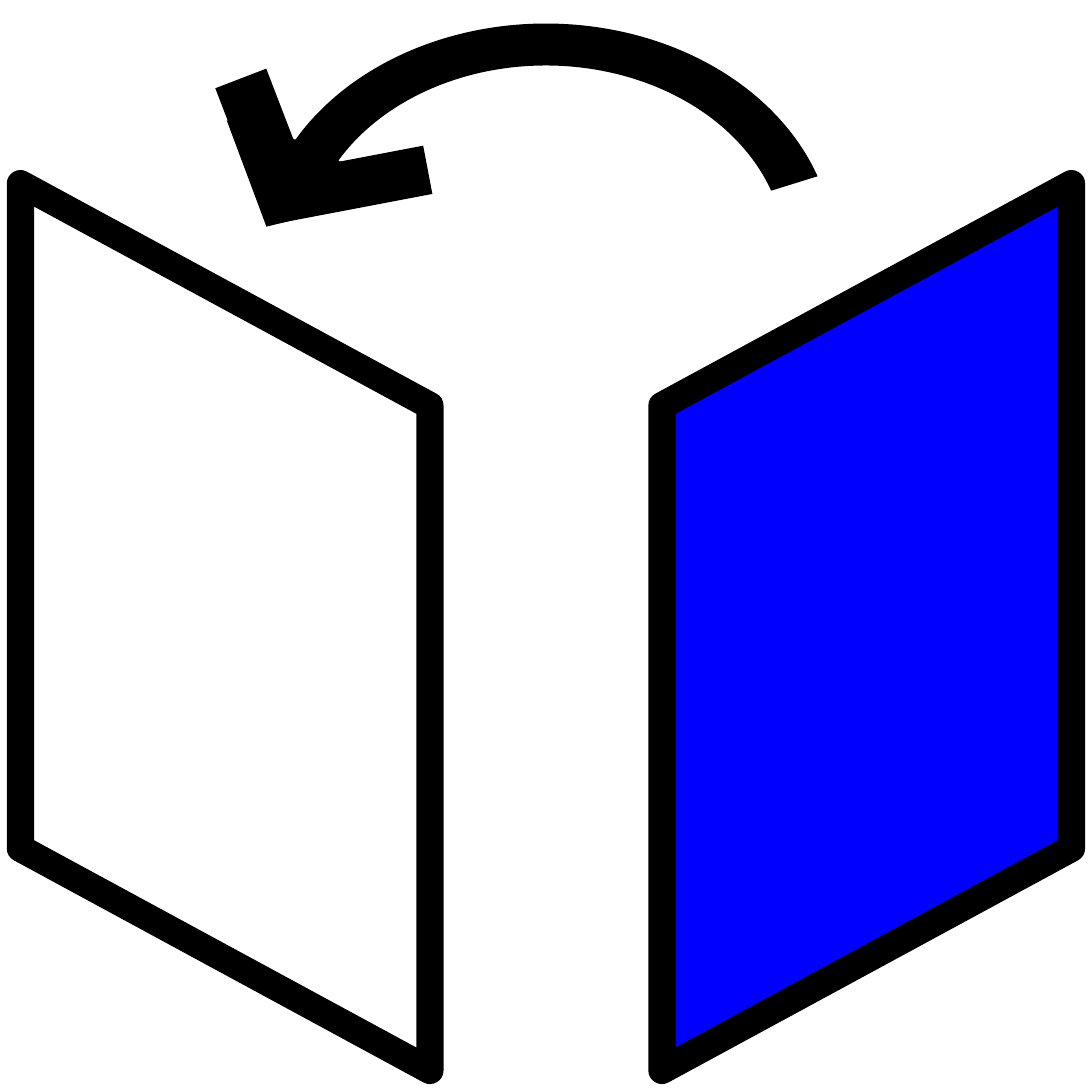
from dataclasses import dataclass
from math import cos, radians, sin, tan

from lxml import etree
from pptx import Presentation
from pptx.dml.color import RGBColor
from pptx.enum.shapes import MSO_CONNECTOR, MSO_SHAPE
from pptx.oxml.ns import qn
from pptx.util import Cm, Pt

PARALLELOGRAM = MSO_SHAPE.PARALLELOGRAM
STRAIGHT = MSO_CONNECTOR.STRAIGHT
BLANK_LAYOUT = 6


@dataclass(frozen=True)
class Theme:
    ink: RGBColor = RGBColor(0, 0, 0)
    panel: RGBColor = RGBColor(0, 0, 255)
    outline: float = 7.2


THEME = Theme()

SLIDE_SIDE = 10.16
PANEL_LEFT, PANEL_TOP = -2.03, 3.93
PANEL_LENGTH, PANEL_DEPTH = 8.25, 3.81
PANEL_SLANT = 0.542

# The arrow's band lies between two ellipses with one centre
ARC_CENTRE = (5.08, 2.38)
OUTER_RADII, INNER_RADII = (2.69, 2.16), (2.23, 1.77)
ARC_START, ARC_MIDDLE, ARC_END = 20, 85, 150
ARROWHEAD = [(2.11, 1.12), (2.48, 2.11), (3.73, 1.8)]
UNITS_PER_CM = 1000


def format_line(line, width):
    line.width = Pt(width)
    line.color.rgb = THEME.ink


def format_fill(fill, colour):
    if colour is None:
        fill.background()
    else:
        fill.solid()
        fill.fore_color.rgb = colour


def add_panel(slide, left, rotation, colour=None, mirrored=False):
    shape = slide.shapes.add_shape(
        PARALLELOGRAM, Cm(left), Cm(PANEL_TOP), Cm(PANEL_LENGTH), Cm(PANEL_DEPTH))
    shape.adjustments[0] = PANEL_SLANT
    shape.rotation = rotation
    shape.shadow.inherit = False
    if mirrored:
        shape._element.spPr.find(qn("a:xfrm")).set("flipH", "1")
    format_fill(shape.fill, colour)
    format_line(shape.line, THEME.outline)
    etree.SubElement(shape.line._get_or_add_ln(), qn("a:round"))


def ellipse_point(radii, angle, tangent=0):
    """Point at an angle, moved along the tangent by a share of the radii."""
    turn = radians(angle)
    return (ARC_CENTRE[0] + radii[0] * (cos(turn) - tangent * sin(turn)),
            ARC_CENTRE[1] - radii[1] * (sin(turn) + tangent * cos(turn)))


def arc_curve(radii, start, end):
    handle = 4 / 3 * tan(radians(end - start) / 4)
    return "cubicBezTo", [ellipse_point(radii, start, handle),
                          ellipse_point(radii, end, -handle),
                          ellipse_point(radii, end)]


def add_curved_arrow(slide):
    # The frame encloses the whole outer ellipse
    left, top = (centre - radius for centre, radius in zip(ARC_CENTRE, OUTER_RADII))
    width, height = (round(2 * radius * UNITS_PER_CM) for radius in OUTER_RADII)
    builder = slide.shapes.build_freeform(0, 0, scale=Cm(1) / UNITS_PER_CM)
    builder.add_line_segments([(width, 0), (width, height), (0, height)])
    shape = builder.convert_to_shape(Cm(left), Cm(top))

    # Outer arc, head, then inner arc back to the tail
    commands = [
        ("moveTo", [ellipse_point(OUTER_RADII, ARC_START)]),
        arc_curve(OUTER_RADII, ARC_START, ARC_MIDDLE),
        arc_curve(OUTER_RADII, ARC_MIDDLE, ARC_END),
        *(("lnTo", [corner]) for corner in ARROWHEAD),
        ("lnTo", [ellipse_point(INNER_RADII, ARC_END)]),
        arc_curve(INNER_RADII, ARC_END, ARC_MIDDLE),
        arc_curve(INNER_RADII, ARC_MIDDLE, ARC_START),
        ("close", []),
    ]
    outline = next(shape._element.spPr.iter(qn("a:path")))
    for command in list(outline):
        outline.remove(command)
    for name, points in commands:
        command = etree.SubElement(outline, qn(f"a:{name}"))
        for x, y in points:
            etree.SubElement(command, qn("a:pt"),
                             x=str(round((x - left) * UNITS_PER_CM)),
                             y=str(round((y - top) * UNITS_PER_CM)))

    shape.shadow.inherit = False
    format_fill(shape.fill, THEME.ink)
    shape.line.fill.background()


def add_barb(slide, start, end, width):
    ends = [Cm(value) for value in (*start, *end)]
    connector = slide.shapes.add_connector(STRAIGHT, *ends)
    format_line(connector.line, width)
    etree.SubElement(connector._element.spPr, qn("a:effectLst"))


def main():
    presentation = Presentation()
    presentation.slide_width = presentation.slide_height = Cm(SLIDE_SIDE)
    slide = presentation.slides.add_slide(presentation.slide_layouts[BLANK_LAYOUT])

    # Facing panels
    add_panel(slide, PANEL_LEFT, 90)
    add_panel(slide, SLIDE_SIDE - PANEL_LEFT - PANEL_LENGTH, 270, THEME.panel, mirrored=True)

    # Arrow from the right panel to the left one
    add_curved_arrow(slide)
    add_barb(slide, (2.24, 0.73), (2.69, 1.9), 14.4)
    add_barb(slide, (2.51, 1.86), (3.98, 1.58), 12.95)

    presentation.save("out.pptx")


if __name__ == "__main__":
    main()
